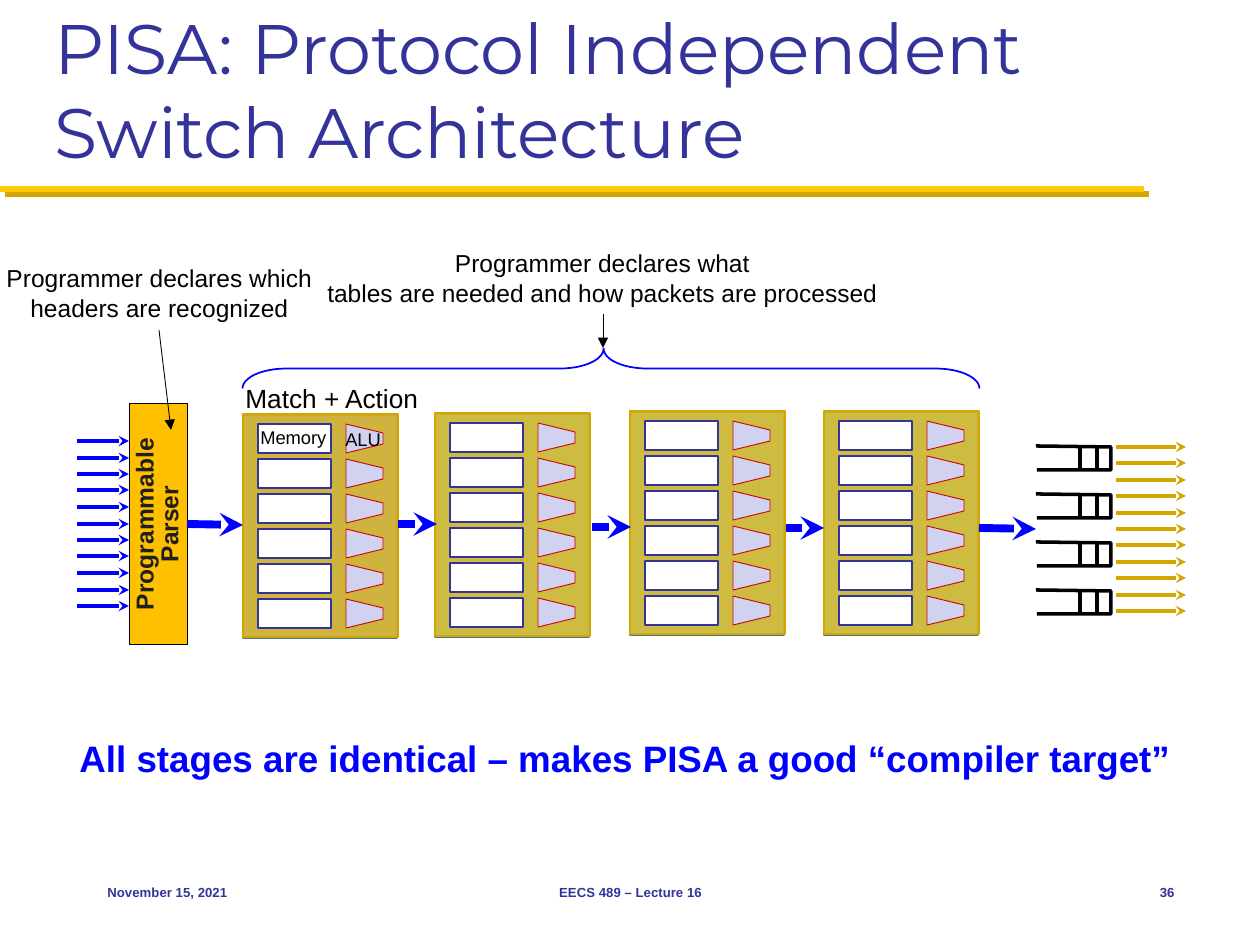
from lxml import etree
from pptx import Presentation
from pptx.dml.color import RGBColor
from pptx.enum.shapes import MSO_CONNECTOR, MSO_SHAPE as SHAPE
from pptx.enum.text import MSO_ANCHOR as ANCHOR, PP_ALIGN as ALIGN
from pptx.oxml.ns import qn
from pptx.util import Emu, Pt

PX = 914400 / 126
NAVY, BLUE, BLACK = "333399", "0000FF", "000000"
MAIZE, GOLD, AMBER = "FFCB05", "D3A600", "FFC000"
hue = RGBColor.from_string

deck = Presentation()
deck.slide_width, deck.slide_height = Emu(round(1260 * PX)), Emu(round(945 * PX))
slide = deck.slides.add_slide(deck.slide_layouts[6])
shapes = slide.shapes


def draw(kind, box, fill, edge, weight, turn=0):
    """Add an outlined preset shape; box is in pixels."""
    shape = shapes.add_shape(kind, *[round(v * PX) for v in box])
    shape.shadow.inherit = False
    shape.rotation = turn
    if fill:
        shape.fill.solid()
        shape.fill.fore_color.rgb = hue(fill)
    else:
        shape.fill.background()
    shape.line.color.rgb = hue(edge)
    shape.line.width = Pt(weight)
    return shape


def write(frame, lines, size, colour, align=ALIGN.LEFT, bold=False,
          anchor=ANCHOR.TOP, wrap=True, font="Arial", leading=None):
    """Fill a text frame, one paragraph for each line."""
    frame.word_wrap = wrap
    frame.vertical_anchor = anchor
    for i, line in enumerate(lines):
        paragraph = frame.paragraphs[0] if i == 0 else frame.add_paragraph()
        paragraph.alignment = align
        if leading:
            paragraph.line_spacing = Pt(leading)
        run = paragraph.add_run()
        run.text = line
        run.font.size, run.font.bold, run.font.name = Pt(size), bold, font
        run.font.color.rgb = hue(colour)


# Match + action stages
for left, top, tint in [(243, 414, AMBER), (435, 413, MAIZE),
                        (630, 411, MAIZE), (824, 411, MAIZE)]:
    draw(SHAPE.RECTANGLE, (left, top + 1, 154, 223), "5B9BD5", "43739E", 1)
    stage = draw(SHAPE.RECTANGLE, (left, top, 155, 223), tint, GOLD, 1)
    tint_xml = stage.fill._xPr.find(qn("a:solidFill"))[0]
    etree.SubElement(tint_xml, qn("a:alpha"), val="70000")
    for row in range(6):
        y = top + 35 * row
        draw(SHAPE.RECTANGLE, (left + 15, y + 10, 73, 29), "FFFFFF", NAVY, 1)
        alu = draw(SHAPE.TRAPEZOID, (left + 107, y + 6, 29, 37),
                   "D1D1F0", "CC0000", 0.5, 90)
        alu.adjustments[0] = 0.31

# Parser and the brace over the stages
parser = draw(SHAPE.RECTANGLE, (38, 495, 241, 58), AMBER, BLACK, 0.5, 270)
write(parser.text_frame, ["Programmable", "Parser"], 14, "1F1F1F",
      ALIGN.CENTER, True, ANCHOR.MIDDLE, leading=14.2)
brace = draw(SHAPE.RIGHT_BRACE, (591, 0, 40, 737), None, BLUE, 1, 270)
brace.adjustments[0], brace.adjustments[1] = 1.09, 0.49

# Lines and arrows: start, end, colour, weight, arrowhead
links = [
    (159, 330, 171, 430, BLACK, 0.5, "triangle"),
    (603, 314, 603, 348, BLACK, 0.5, "triangle"),
    (187, 524, 243, 525, BLUE, 4.5, "stealth"),
    (398, 524, 437, 524, BLUE, 4.5, "stealth"),
    (592, 527, 631, 527, BLUE, 4.5, "stealth"),
    (786, 528, 824, 528, BLUE, 4.5, "stealth"),
    (979, 528, 1036, 529, BLUE, 4.5, "stealth"),
]
for i in range(11):
    y_in, y_out = round(441 + 16.5 * i), round(447 + 16.4 * i)
    links.append((77, y_in, 129, y_in, BLUE, 2, "stealth"))
    links.append((1116, y_out, 1186, y_out, GOLD, 2, "stealth"))

# Output queues
for top in range(446, 591, 48):
    outline = shapes.build_freeform(1036, top, scale=PX)
    outline.add_line_segments([(1111, top + 1), (1111, top + 24), (1037, top + 24)],
                              close=False)
    queue = outline.convert_to_shape()
    queue.shadow.inherit = False
    queue.fill.background()
    queue.line.color.rgb = hue(BLACK)
    queue.line.width = Pt(2)
    links += [(x, top, x, top + 24, BLACK, 2, None) for x in (1080, 1097)]

links.append((0, 189, 1144, 189, MAIZE, 3.5, None))
for *ends, colour, weight, head in links:
    link = shapes.add_connector(MSO_CONNECTOR.STRAIGHT, *[round(v * PX) for v in ends])
    link.line.color.rgb = hue(colour)
    link.line.width = Pt(weight)
    if head:
        etree.SubElement(link.line._get_or_add_ln(), qn("a:tailEnd"), type=head)
    effects = etree.SubElement(link._element.spPr, qn("a:effectLst"))
    if colour == MAIZE:
        shadow = etree.SubElement(effects, qn("a:outerShdw"), blurRad="0",
                                  dist=str(Pt(4.2)), dir="2700000")
        etree.SubElement(shadow, qn("a:srgbClr"), val=GOLD)

# Texts: box, lines, size, colour, further settings
footer = dict(bold=True, anchor=ANCHOR.MIDDLE)
texts = [
    ((42, 21, 1176, 158), ["PISA: Protocol Independent Switch Architecture"], 40, NAVY,
     dict(anchor=ANCHOR.BOTTOM, font="Montserrat")),
    ((-10, 257, 339, 72), ["Programmer declares which", "headers are recognized"],
     14, BLACK, dict(align=ALIGN.CENTER)),
    ((314, 242, 577, 72), ["Programmer declares what",
                           "tables are needed and how packets are processed"],
     14, BLACK, dict(align=ALIGN.CENTER, wrap=False)),
    ((233, 376, 277, 43), ["Match + Action"], 15, BLACK, {}),
    ((248, 420, 92, 35), ["Memory"], 10.5, BLACK, dict(wrap=False)),
    ((333, 422, 62, 35), ["ALU"], 10.5, BLACK, dict(wrap=False)),
    ((67, 730, 1128, 57),
     ["All stages are identical – makes PISA a good “compiler target”"],
     21, BLUE, dict(bold=True, wrap=False)),
    ((95, 861, 262, 63), ["November 15, 2021"], 7.5, NAVY, footer),
    ((431, 861, 399, 63), ["EECS 489 – Lecture 16"], 7.5, NAVY,
     dict(footer, align=ALIGN.CENTER)),
    ((1103, 861, 84, 63), ["36"], 7.5, NAVY, dict(footer, align=ALIGN.RIGHT)),
]
for box, lines, size, colour, settings in texts:
    label = shapes.add_textbox(*[round(v * PX) for v in box])
    write(label.text_frame, lines, size, colour, **settings)

deck.save("out.pptx")
